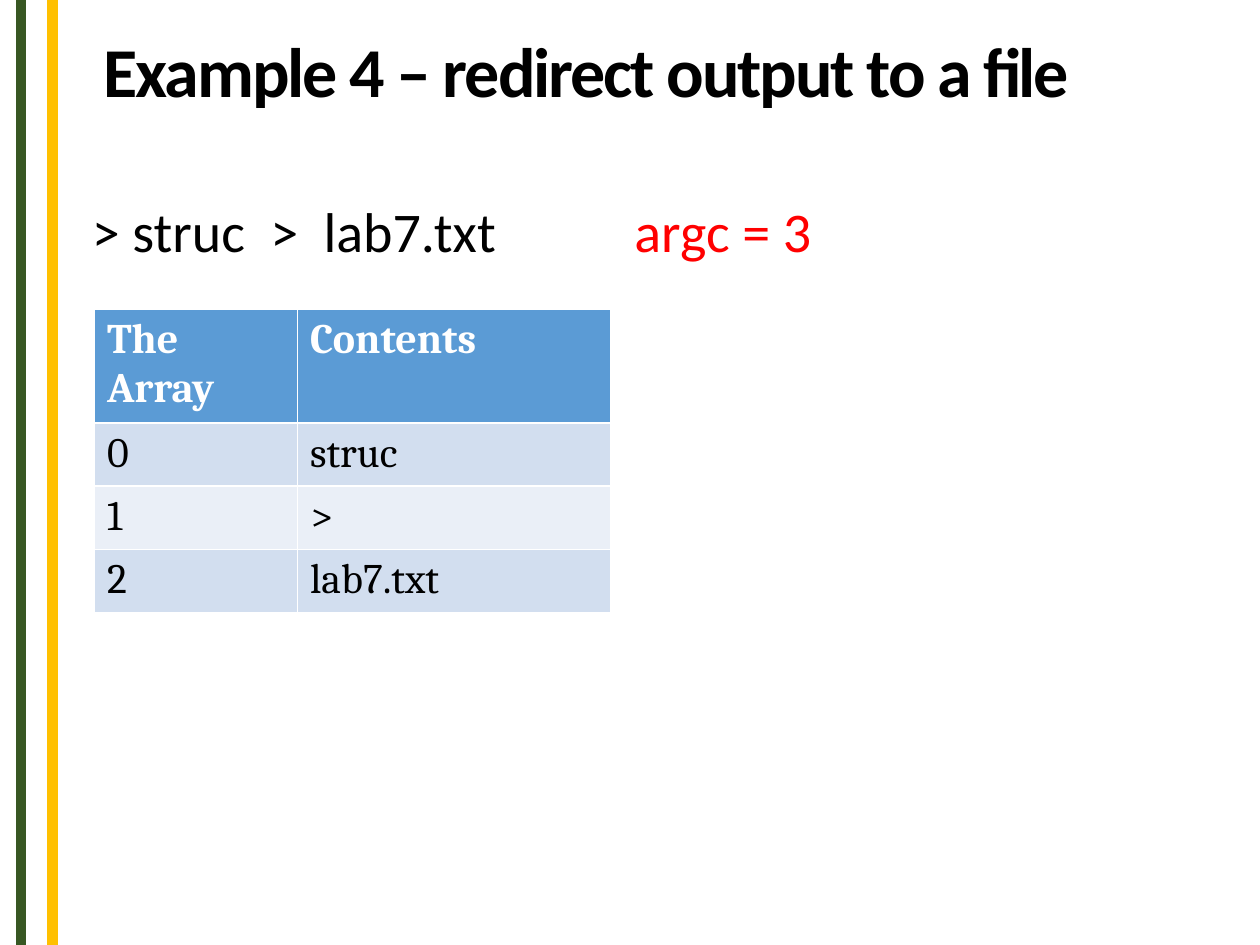
"""Builds the slide on redirecting output to a file."""
from pptx import Presentation
from pptx.dml.color import RGBColor
from pptx.enum.shapes import MSO_CONNECTOR
from pptx.enum.text import MSO_ANCHOR, PP_ALIGN
from pptx.oxml.ns import qn
from pptx.util import Pt
from lxml.etree import SubElement

COLORS = {
    "green": "385723", "gold": "FFC000", "black": "000000", "red": "FF0000",
    "white": "FFFFFF", "header": "5B9BD5", "odd": "D2DEEF", "even": "EAEFF7",
}
ROWS = [("The Array", "Contents"), ("0", "struc"), ("1", ">"), ("2", "lab7.txt")]


def rgb(name):
    return RGBColor.from_string(COLORS[name])


def style(r, size, font, color, bold=False):
    r.font.size = Pt(size)
    r.font.name = font
    r.font.bold = bold
    r.font.color.rgb = rgb(color)


prs = Presentation()
prs.slide_width, prs.slide_height = Pt(720), Pt(540)
slide = prs.slides.add_slide(prs.slide_layouts[5])

for x, color in ((12, "green"), (30, "gold")):
    s = slide.shapes.add_connector(MSO_CONNECTOR.STRAIGHT, Pt(x), Pt(0), Pt(x), Pt(540))
    s.line.color.rgb = rgb(color)
    s.line.width = Pt(6)
    SubElement(s._element.spPr, qn("a:effectLst"))

title = slide.shapes.title
title.left, title.top, title.width, title.height = Pt(45.4), Pt(13.7), Pt(650), Pt(57.6)
tf = title.text_frame
tf.text = "Example 4 – redirect output to a file"
tf.vertical_anchor = MSO_ANCHOR.MIDDLE
tf.margin_left = Pt(14)
p = tf.paragraphs[0]
p.alignment = PP_ALIGN.LEFT
p.line_spacing = 0.9
r = p.runs[0]
style(r, 40, "Calibri", "black", True)
r.font._element.set("spc", "-120")

command = slide.shapes.add_textbox(Pt(45.4), Pt(108.7), Pt(548.6), Pt(46))
tf = command.text_frame
tf.word_wrap = True
p = tf.paragraphs[0]
tabs = SubElement(p._p.get_or_add_pPr(), qn("a:tabLst"))
SubElement(tabs, qn("a:tab"), pos=str(Pt(310)), algn="l")
for text, color in (("> struc  >  lab7.txt\t", "black"), ("argc = 3", "red")):
    r = p.add_run()
    r.text = text
    style(r, 32, "Calibri", color)

s = slide.shapes.add_table(len(ROWS), 2, Pt(54), Pt(177), Pt(295), Pt(116.8))
s.height = Pt(144)
table = s.table
table.columns[0].width, table.columns[1].width = Pt(116), Pt(179)
for i, row in enumerate(ROWS):
    fill = "header" if i == 0 else "odd" if i % 2 else "even"
    for cell, text in zip(table.rows[i].cells, row):
        cell.text = text
        cell.fill.solid()
        cell.fill.fore_color.rgb = rgb(fill)
        r = cell.text_frame.paragraphs[0].runs[0]
        style(r, 24, "Cambria", "black" if i else "white", i == 0)

prs.save("out.pptx")
